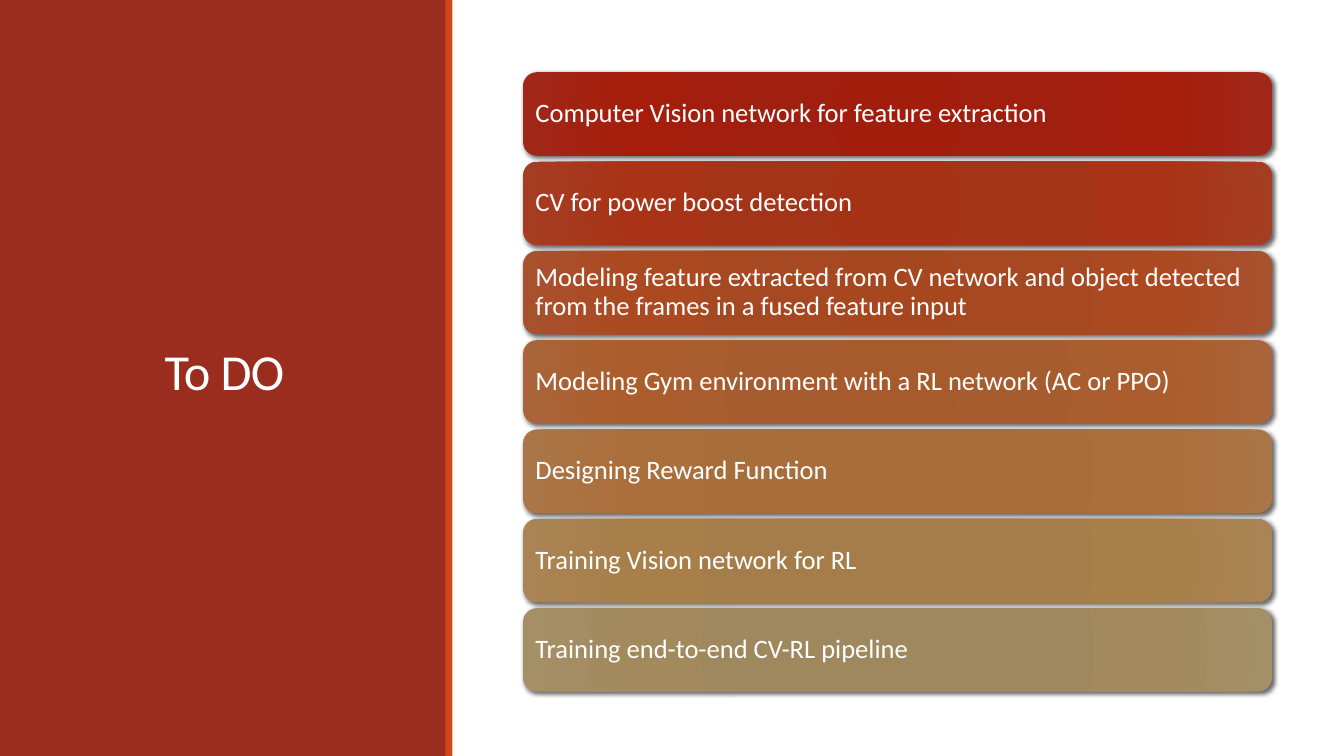
"""Builds the To DO slide: a title panel beside a list of gradient task cards."""
import pptx
import pptx.dml.color
import pptx.enum.shapes
import pptx.enum.text
import pptx.oxml
import pptx.oxml.ns
import pptx.util

Pt = pptx.util.Pt
FONT = "Calibri"
COLORS = {"panel": "9B2D1F", "stripe": "D34817", "text": "FFFFFF", "shadow": "000000"}
STOP_POSITIONS = (0, 34, 70, 100)
TASKS = [
    ("Computer Vision network for feature extraction",
     ("A21D0C", "A01F0F", "A61D0C", "A12819")),
    ("CV for power boost detection",
     ("A53215", "A43418", "A93316", "A53D23")),
    ("Modeling feature extracted from CV network and object detected "
     "from the frames in a fused feature input",
     ("A74720", "A64923", "AB4921", "A8512D")),
    ("Modeling Gym environment with a RL network (AC or PPO)",
     ("A75B2C", "A75C2F", "AC5D2D", "AA6439")),
    ("Designing Reward Function",
     ("A76C39", "A76E3C", "AB6F3B", "AA7547")),
    ("Training Vision network for RL",
     ("A57C48", "A57D4A", "A97F49", "AA8455")),
    ("Training end-to-end CV-RL pipeline",
     ("9F875B", "9F885D", "A38A5D", "A58F67")),
]
SLIDE_WIDTH, SLIDE_HEIGHT = 960, 540
CARD_LEFT, CARD_TOP, CARD_WIDTH, CARD_HEIGHT = 373.6, 51.6, 535, 59.7
CARD_PITCH = 63.8
CARD_INSET = 6


def rgb(name):
    return pptx.dml.color.RGBColor.from_string(COLORS[name])


def add_bar(slide, left, width, color):
    shape = slide.shapes.add_shape(
        pptx.enum.shapes.MSO_SHAPE.RECTANGLE, Pt(left), Pt(0), Pt(width), Pt(SLIDE_HEIGHT))
    shape.shadow.inherit = False
    shape.fill.solid()
    shape.fill.fore_color.rgb = rgb(color)
    shape.line.fill.background()
    return shape


def write_text(shape, text, size, alignment, line_spacing):
    frame = shape.text_frame
    frame.word_wrap = True
    frame.auto_size = pptx.enum.text.MSO_AUTO_SIZE.NONE
    frame.vertical_anchor = pptx.enum.text.MSO_ANCHOR.MIDDLE
    paragraph = frame.paragraphs[0]
    paragraph.alignment = alignment
    paragraph.line_spacing = line_spacing
    run = paragraph.add_run()
    run.text = text
    run.font.name = FONT
    run.font.size = Pt(size)
    run.font.color.rgb = rgb("text")
    return run


def set_circular_gradient(shape, colors):
    shape.fill.gradient()
    stops = "".join(
        f'<a:gs pos="{position * 1000}"><a:srgbClr val="{color}"/></a:gs>'
        for position, color in zip(STOP_POSITIONS, colors))
    gradient = pptx.oxml.parse_xml(
        f'<a:gradFill {pptx.oxml.ns.nsdecls("a")} rotWithShape="1"><a:gsLst>{stops}</a:gsLst>'
        '<a:path path="circle"><a:fillToRect l="100000" t="100000" r="100000" b="100000"/>'
        '</a:path></a:gradFill>')
    properties = shape.element.spPr
    properties.replace(properties.find(pptx.oxml.ns.qn("a:gradFill")), gradient)


def set_drop_shadow(shape):
    shape.shadow.inherit = False
    effects = shape.element.spPr.find(pptx.oxml.ns.qn("a:effectLst"))
    effects.append(pptx.oxml.parse_xml(
        f'<a:outerShdw {pptx.oxml.ns.nsdecls("a")} blurRad="{Pt(3)}" dist="{Pt(2)}" '
        'dir="2700000" algn="ctr" rotWithShape="0">'
        f'<a:srgbClr val="{COLORS["shadow"]}"><a:alpha val="60000"/></a:srgbClr>'
        '</a:outerShdw>'))


def add_card(slide, top, text, colors):
    shape = slide.shapes.add_shape(
        pptx.enum.shapes.MSO_SHAPE.ROUNDED_RECTANGLE,
        Pt(CARD_LEFT), Pt(top), Pt(CARD_WIDTH), Pt(CARD_HEIGHT))
    set_circular_gradient(shape, colors)
    shape.line.fill.background()
    set_drop_shadow(shape)
    frame = shape.text_frame
    frame.margin_left = frame.margin_right = Pt(CARD_INSET)
    frame.margin_top = frame.margin_bottom = Pt(CARD_INSET)
    write_text(shape, text, 19, pptx.enum.text.PP_ALIGN.LEFT, 0.9)


def format_title(slide, text):
    title = slide.shapes.title
    title.left, title.top, title.width, title.height = Pt(39), Pt(41), Pt(242.6), Pt(454.3)
    run = write_text(title, text, 36, pptx.enum.text.PP_ALIGN.CENTER, 0.85)
    run.font._element.set("spc", "-50")
    return title


def main():
    presentation = pptx.Presentation()
    presentation.slide_width = Pt(SLIDE_WIDTH)
    presentation.slide_height = Pt(SLIDE_HEIGHT)
    slide = presentation.slides.add_slide(presentation.slide_layouts[5])
    title = format_title(slide, "To DO")
    panel = add_bar(slide, 0, 319, "panel")
    title.element.addprevious(panel.element)
    add_bar(slide, 318.2, 5, "stripe")
    for index, (text, colors) in enumerate(TASKS):
        add_card(slide, CARD_TOP + index * CARD_PITCH, text, colors)
    presentation.save("out.pptx")


if __name__ == "__main__":
    main()
